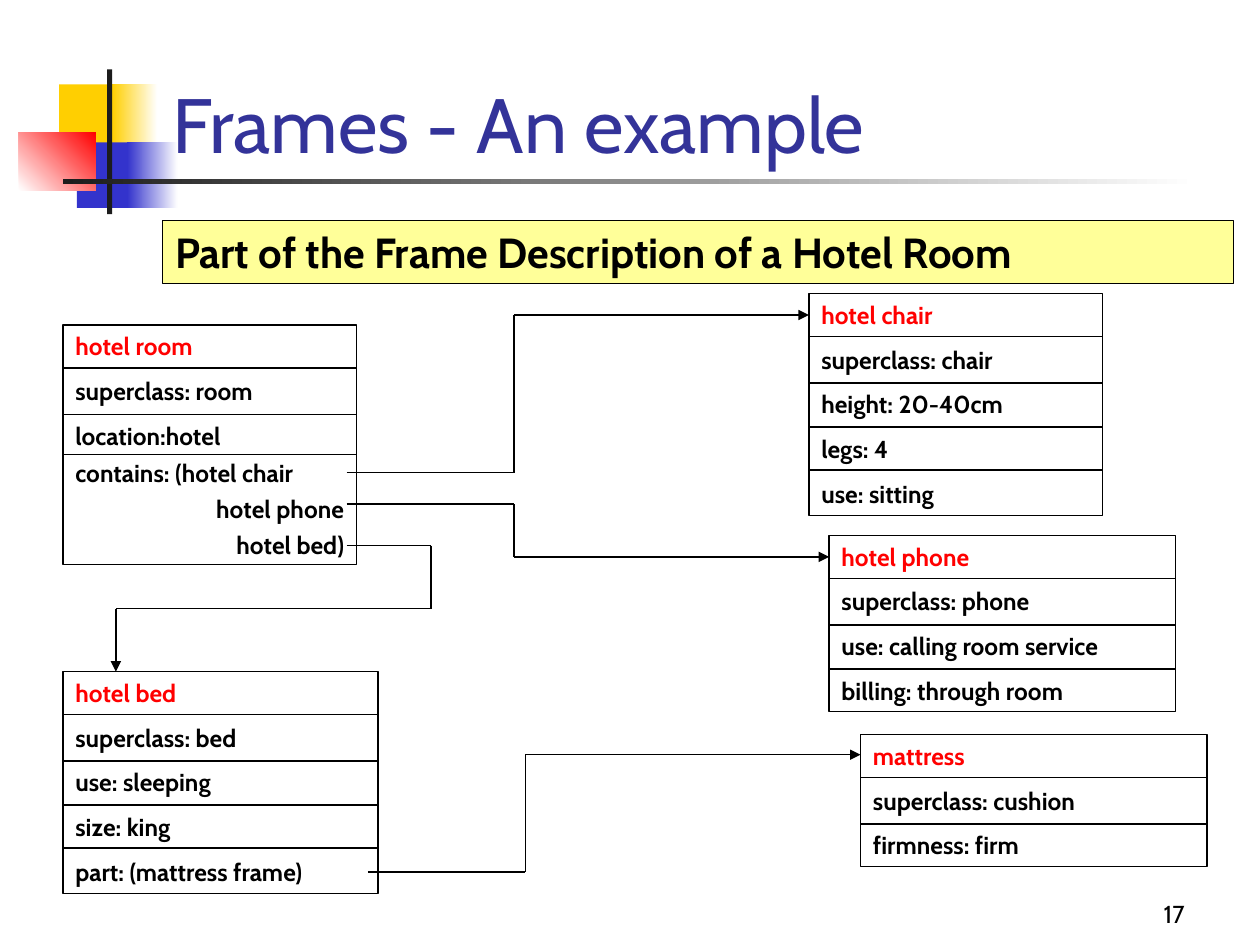
from lxml import etree
from pptx import Presentation
from pptx.dml.color import RGBColor
from pptx.enum.shapes import MSO_CONNECTOR, MSO_SHAPE
from pptx.enum.text import MSO_ANCHOR, MSO_AUTO_SIZE, PP_ALIGN
from pptx.oxml.ns import qn
from pptx.util import Inches, Pt

RECTANGLE = MSO_SHAPE.RECTANGLE
STRAIGHT = MSO_CONNECTOR.STRAIGHT
TOP, BOTTOM = MSO_ANCHOR.TOP, MSO_ANCHOR.BOTTOM
FIXED, GROW = MSO_AUTO_SIZE.NONE, MSO_AUTO_SIZE.SHAPE_TO_FIT_TEXT
LEFT, RIGHT = PP_ALIGN.LEFT, PP_ALIGN.RIGHT

COLORS = {
    "black": "000000", "white": "FFFFFF", "red": "FF0000", "gold": "FFCF01",
    "blue": "3333CC", "ink": "1C1C1C", "title": "333399", "banner": "FFFF99",
}
FONT = "Cabin"
TITLE = "Frames - An example"
BANNER = "Part of the Frame Description of a Hotel Room"
PAGE_NUMBER = "17"

ORNAMENTS = [
    ((0.47, 0.67, 0.48, 0.52), ["gold"], 0),
    ((0.89, 0.67, 0.36, 0.52), ["gold", "white"], 0),
    ((0.61, 1.13, 0.46, 0.52), ["blue"], 0),
    ((1.01, 1.13, 0.4, 0.52), ["blue", "white"], 0),
    ((0.15, 1.05, 0.61, 0.46), ["white", "red"], 45),
    ((0.85, 0.55, 0.04, 1.15), ["ink"], 0),
    ((0.5, 1.42, 9, 0.04), ["ink", "white"], 0),
]

DIVIDERS = (0.34, 0.71, 1.06, 1.4)
ROOM_DIVIDERS = (0.34, 0.71, 1.03)
FRAMES = [
    ((0.5, 2.58, 2.33, 1.9), ROOM_DIVIDERS,
     ["hotel room", "superclass: room", "location:hotel",
      "contains: (hotel chair", "hotel phone", "hotel bed)"]),
    ((6.42, 2.33, 2.33, 1.76), DIVIDERS,
     ["hotel chair", "superclass: chair", "height: 20-40cm", "legs: 4", "use: sitting"]),
    ((6.58, 4.25, 2.75, 1.4), DIVIDERS,
     ["hotel phone", "superclass: phone", "use: calling room service",
      "billing: through room"]),
    ((6.83, 5.83, 2.75, 1.05), DIVIDERS,
     ["mattress", "superclass: cushion", "firmness: firm"]),
    ((0.5, 5.33, 2.5, 1.76), DIVIDERS,
     ["hotel bed", "superclass: bed", "use: sleeping", "size: king",
      "part: (mattress frame)"]),
]

ROUTES = [
    [(2.75, 3.75), (4.08, 3.75), (4.08, 2.5), (6.42, 2.5)],
    [(2.75, 4), (4.08, 4), (4.08, 4.42), (6.58, 4.42)],
    [(2.75, 4.33), (3.42, 4.33), (3.42, 4.83), (0.92, 4.83), (0.92, 5.33)],
    [(2.92, 6.92), (4.17, 6.92), (4.17, 5.99), (6.83, 5.99)],
]


def rgb(color):
    return RGBColor.from_string(COLORS[color])


def apply(target, values):
    for name, value in values.items():
        setattr(target, name, value)


def place(shape, box):
    apply(shape, dict(zip(("left", "top", "width", "height"), map(Inches, box))))


def outline(line):
    line.color.rgb = rgb("black")
    line.width = Pt(0.75)


def write(paragraph, text, size, color="black", bold=False, **layout):
    run = paragraph.add_run()
    run.text = text
    apply(run.font, {"name": FONT, "size": Pt(size), "bold": bold})
    run.font.color.rgb = rgb(color)
    apply(paragraph, {"alignment": LEFT, **layout})


def add_rectangle(slide, box):
    rectangle = slide.shapes.add_shape(RECTANGLE, *map(Inches, box))
    rectangle.shadow.inherit = False
    return rectangle


def add_ornament(slide, box, colors, angle):
    ornament = add_rectangle(slide, box)
    ornament.line.fill.background()
    if len(colors) == 1:
        ornament.fill.solid()
        ornament.fill.fore_color.rgb = rgb(colors[0])
        return
    ornament.fill.gradient()
    ornament.fill.gradient_angle = angle
    for stop, color in zip(ornament.fill.gradient_stops, colors):
        stop.color.rgb = rgb(color)


def add_line(slide, start, end, arrow=False):
    line = slide.shapes.add_connector(STRAIGHT, *map(Inches, (*start, *end)))
    outline(line.line)
    if arrow:
        etree.SubElement(line.line._get_or_add_ln(), qn("a:tailEnd"), type="triangle")
    etree.SubElement(line.element.spPr, qn("a:effectLst"))


def add_frame(slide, box, dividers, slots):
    frame = add_rectangle(slide, box)
    frame.fill.background()
    outline(frame.line)
    text = frame.text_frame
    apply(text, {"word_wrap": True, "auto_size": GROW, "vertical_anchor": TOP})
    sections = len(dividers) + 1
    for index, slot in enumerate(slots):
        paragraph = text.add_paragraph() if index else text.paragraphs[0]
        layout = {"space_before": Pt(8.8)}
        if len(slots) > sections and index >= sections - 1:
            layout["line_spacing"] = 0.7
        if index >= sections:
            layout["alignment"] = RIGHT
        write(paragraph, slot, 14, "black" if index else "red", True, **layout)
    left, top, width, _ = box
    for offset in dividers[:len(slots) - 1]:
        add_line(slide, (left, top + offset), (left + width, top + offset))


def fill_placeholders(slide):
    title, banner = slide.shapes.title, slide.placeholders[1]
    for holder, box, anchor in (
        (title, (1.27, 0.14, 8.52, 1.25), BOTTOM),
        (banner, (1.29, 1.75, 8.5, 0.5), TOP),
    ):
        place(holder, box)
        apply(holder.text_frame,
              {"word_wrap": True, "auto_size": FIXED, "vertical_anchor": anchor})
        slide.shapes.element.append(holder.element)
    write(title.text_frame.paragraphs[0], TITLE, 44, "title")
    banner.fill.solid()
    banner.fill.fore_color.rgb = rgb("banner")
    outline(banner.line)
    paragraph = banner.text_frame.paragraphs[0]
    write(paragraph, BANNER, 24, bold=True, space_before=Pt(6))
    properties = paragraph._p.get_or_add_pPr()
    properties.set("marL", str(Inches(0.38)))
    properties.set("indent", str(Inches(-0.38)))
    etree.SubElement(properties, qn("a:buNone"))


def main():
    """Build the hotel room frames slide."""
    deck = Presentation()
    apply(deck, {"slide_width": Inches(10), "slide_height": Inches(7.5)})
    slide = deck.slides.add_slide(deck.slide_layouts[1])
    for ornament in ORNAMENTS:
        add_ornament(slide, *ornament)
    fill_placeholders(slide)
    for frame in FRAMES:
        add_frame(slide, *frame)
    for route in ROUTES:
        for start, end in zip(route, route[1:]):
            add_line(slide, start, end, arrow=end == route[-1])
    number = slide.shapes.add_textbox(*map(Inches, (7.42, 6.92, 2.08, 0.5)))
    apply(number.text_frame, {"word_wrap": True, "vertical_anchor": BOTTOM})
    write(number.text_frame.paragraphs[0], PAGE_NUMBER, 14, alignment=RIGHT)
    deck.save("out.pptx")


if __name__ == "__main__":
    main()
